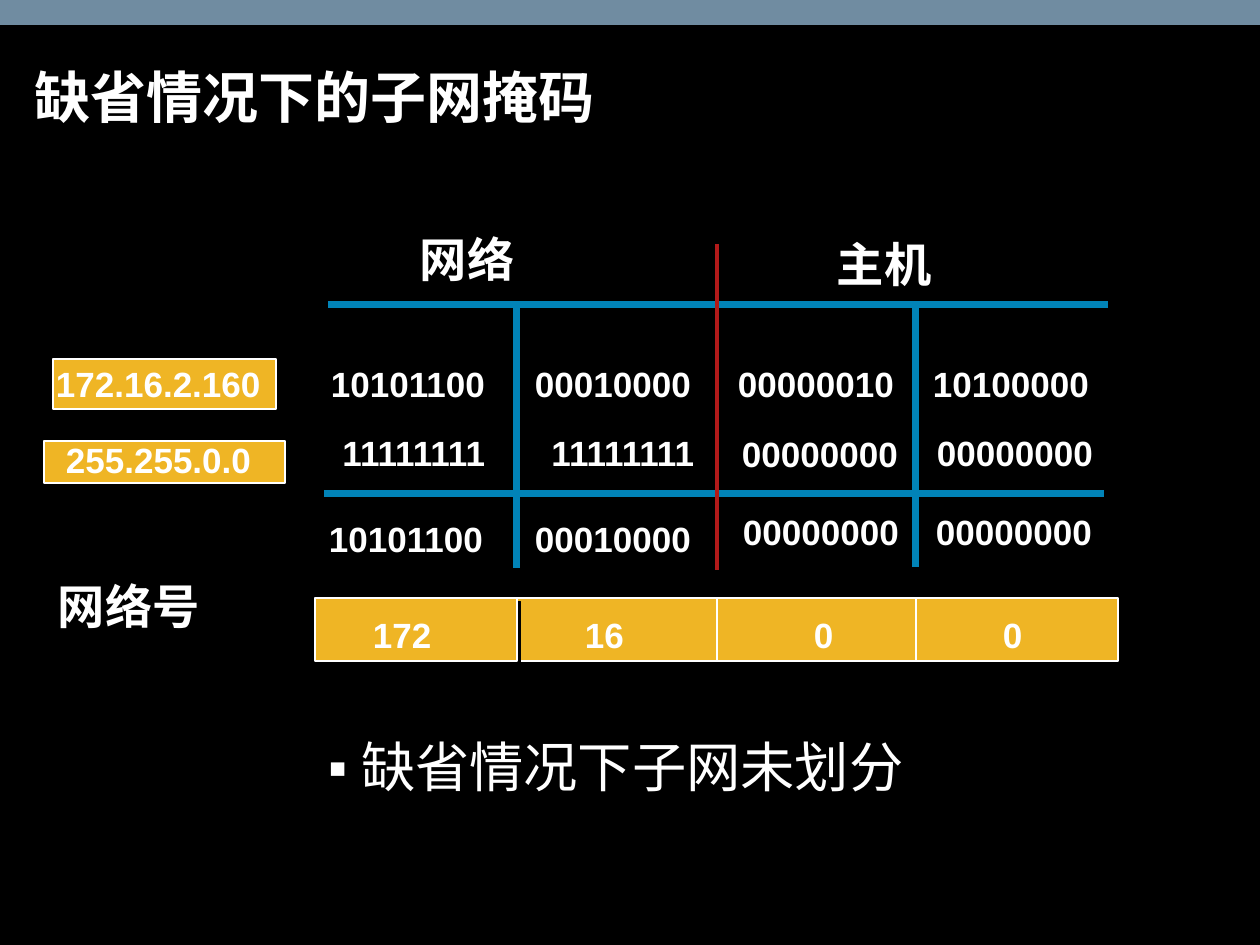
from dataclasses import dataclass

from lxml import etree
from pptx import Presentation
from pptx.dml.color import RGBColor
from pptx.enum.shapes import MSO_CONNECTOR, MSO_SHAPE
from pptx.enum.text import MSO_ANCHOR, MSO_AUTO_SIZE, PP_ALIGN
from pptx.oxml import parse_xml
from pptx.oxml.ns import nsdecls, qn
from pptx.util import Emu, Pt

LEFT, CENTER, RIGHT = PP_ALIGN.LEFT, PP_ALIGN.CENTER, PP_ALIGN.RIGHT
TOP, MIDDLE, BOTTOM = MSO_ANCHOR.TOP, MSO_ANCHOR.MIDDLE, MSO_ANCHOR.BOTTOM
RECT, STRAIGHT = MSO_SHAPE.RECTANGLE, MSO_CONNECTOR.STRAIGHT
NO_AUTOFIT = MSO_AUTO_SIZE.NONE
TITLE_ONLY = 5
SCALE = 914400 // 126


@dataclass(frozen=True)
class Theme:
    """Colours, font and type sizes of the slide."""
    black: str = "000000"
    white: str = "FFFFFF"
    bar: str = "708CA1"
    gold: str = "EFB525"
    blue: str = "0183B7"
    red: str = "B21A1A"
    font: str = "Arial"
    title: int = 32
    note: int = 31
    label: int = 27
    number: int = 20


T = Theme()


def px(*values):
    """Turn pixel lengths into EMU."""
    return [Emu(v * SCALE) for v in values]


def rgb(code):
    """Turn a hex code into a colour."""
    return RGBColor.from_string(code)


def write(sp, text, size=T.number, bold=True, align=LEFT, anchor=TOP,
          spacing=Pt(23.6), insets=(3, 4), bullet=None):
    """Put one formatted paragraph into a shape."""
    tf = sp.text_frame
    tf.word_wrap = True
    tf.auto_size = NO_AUTOFIT
    tf.vertical_anchor = anchor
    tf.margin_left, tf.margin_top = px(*insets)
    tf.margin_right, tf.margin_bottom = px(3, insets[1])
    p = tf.paragraphs[0]
    p.alignment = align
    p.line_spacing = spacing
    if bullet:
        add_bullet(p, bullet)
    r = p.add_run()
    r.text = text
    r.font.name = T.font
    r.font.size = Pt(size)
    r.font.bold = bold
    r.font.color.rgb = rgb(T.white)


def add_bullet(p, char, indent=33):
    """Give a paragraph a white hanging bullet."""
    pPr = p._p.get_or_add_pPr()
    pPr.set("marL", str(indent * SCALE))
    pPr.set("indent", str(-indent * SCALE))
    pPr.append(parse_xml(
        f'<a:buClr {nsdecls("a")}><a:srgbClr val="{T.white}"/></a:buClr>'))
    etree.SubElement(pPr, qn("a:buFont"), typeface=T.font)
    etree.SubElement(pPr, qn("a:buChar"), char=char)


def add_text(s, text, x, y, w, h, **fmt):
    """Add a text box."""
    write(s.shapes.add_textbox(*px(x, y, w, h)), text, **fmt)


def add_rect(s, x, y, w, h, fill):
    """Add a plain filled rectangle."""
    sp = s.shapes.add_shape(RECT, *px(x, y, w, h))
    sp.shadow.inherit = False
    sp.fill.solid()
    sp.fill.fore_color.rgb = rgb(fill)
    sp.line.fill.background()
    return sp


def add_gold_box(s, x, y, w, h, border=1):
    """Add a gold box with a white border and a hard black shadow."""
    sp = add_rect(s, x, y, w, h, T.gold)
    sp.line.color.rgb = rgb(T.white)
    sp.line.width = Pt(border)
    sp._element.spPr.find(qn("a:effectLst")).append(parse_xml(
        f'<a:outerShdw {nsdecls("a")} dist="{Pt(2.8)}" dir="2700000" '
        f'rotWithShape="0"><a:srgbClr val="{T.black}"/></a:outerShdw>'))
    return sp


def add_line(s, x1, y1, x2, y2, color=T.blue, width=4):
    """Add a straight line."""
    line = s.shapes.add_connector(STRAIGHT, *px(x1, y1, x2, y2))
    line.line.color.rgb = rgb(color)
    line.line.width = Pt(width)
    etree.SubElement(line._element.spPr, qn("a:effectLst"))


def add_title(s, text):
    """Place and fill the title placeholder."""
    sp = s.shapes.title
    sp.left, sp.top, sp.width, sp.height = px(23, 26, 1143, 110)
    write(sp, text, size=T.title, anchor=BOTTOM, spacing=0.9, insets=(11, 5))


def add_bits(s):
    """Add the binary rows of address, mask and network number."""
    rows = [
        (21.4, [("10101100", 488, 363), ("00010000", 694, 363),
                ("00000010", 897, 363), ("10100000", 1092, 363)]),
        (20.2, [("11111111", 488, 434), ("11111111", 697, 434),
                ("00000000", 901, 435), ("00000000", 1096, 434)]),
        (23.6, [("10101100", 486, 514), ("00010000", 694, 514),
                ("00000000", 902, 507), ("00000000", 1095, 507)]),
    ]
    width = 178
    for spacing, cells in rows:
        for bits, right, top in cells:
            add_text(s, bits, right - width, top, width, 53,
                     align=RIGHT, spacing=Pt(spacing))


def add_network_number(s):
    """Add the row of decimal octets."""
    octets = [("16", 515, 582), ("172", 315, 370),
              ("0", 717, 811), ("0", 916, 1000)]
    for _, x, _ in octets:
        add_gold_box(s, x, 598, 202, 63)
    for text, _, x in octets:
        add_text(s, text, x, 610, 102, 73)


def main():
    """Build the slide and save it."""
    prs = Presentation()
    prs.slide_width, prs.slide_height = px(1260, 945)
    s = prs.slides.add_slide(prs.slide_layouts[TITLE_ONLY])
    s.background.fill.solid()
    s.background.fill.fore_color.rgb = rgb(T.black)
    add_rect(s, 0, 0, 1260, 25, T.bar)
    add_title(s, "缺省情况下的子网掩码")

    for text, x, y in [("网络", 417, 228), ("主机", 834, 233),
                       ("网络号", 55, 575)]:
        add_text(s, text, x, y, 249, 87, size=T.label, spacing=Pt(31.5))
    add_network_number(s)
    add_bits(s)

    add_line(s, 324, 494, 1104, 494)
    add_line(s, 328, 305, 1108, 305)
    add_line(s, 916, 304, 916, 567)
    add_line(s, 517, 305, 517, 568)
    add_line(s, 717, 244, 717, 570, color=T.red, width=2.25)

    write(add_gold_box(s, 53, 359, 223, 50, border=0.75), "172.16.2.160")
    write(add_gold_box(s, 44, 441, 241, 42, border=0.75), "255.255.0.0",
          spacing=Pt(20.2), insets=(22, 4))

    add_text(s, "缺省情况下子网未划分", 45, 719, 1133, 100, size=T.note,
             bold=False, align=CENTER, anchor=MIDDLE, spacing=0.95,
             insets=(11, 5), bullet="▪")
    prs.save("out.pptx")


if __name__ == "__main__":
    main()
